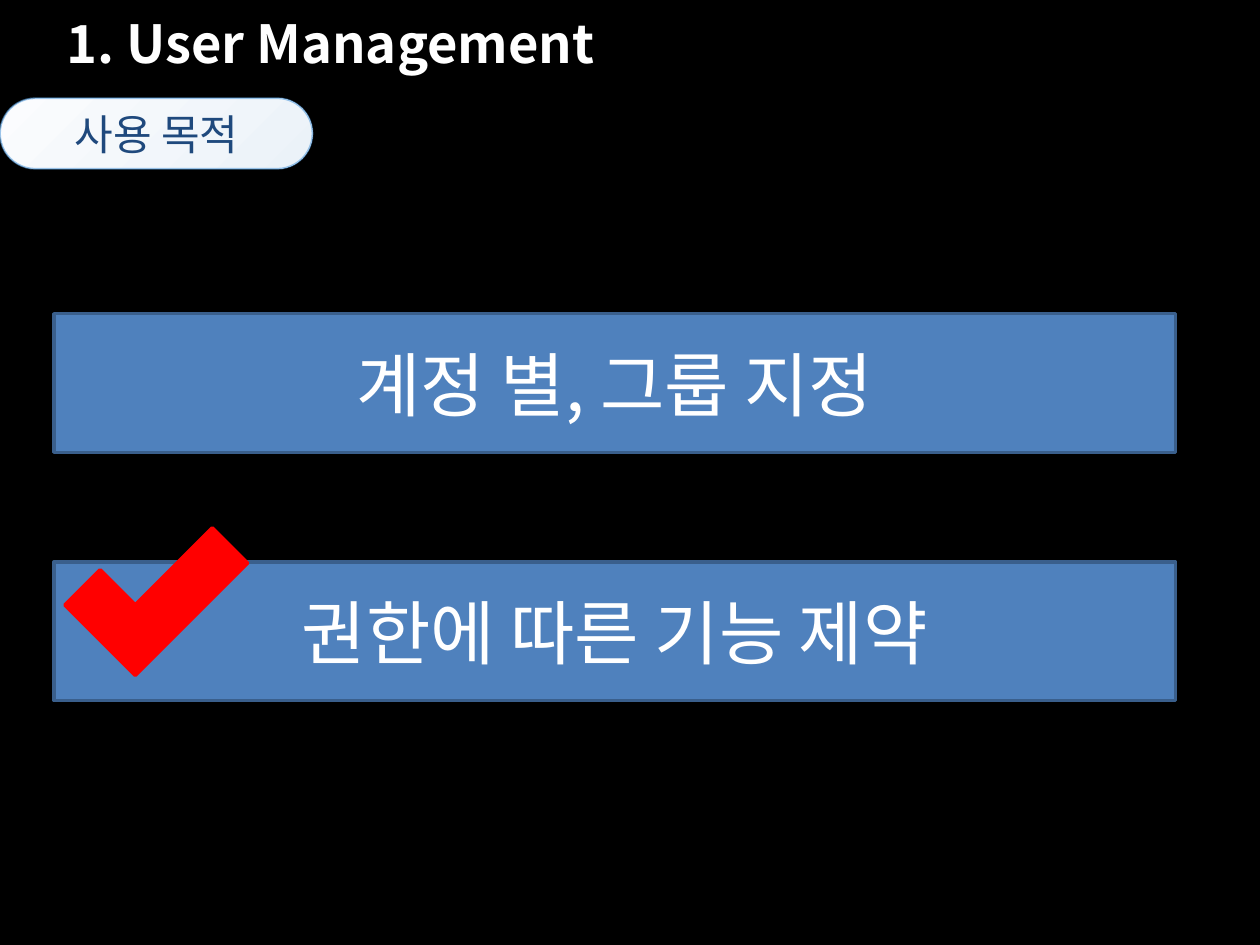
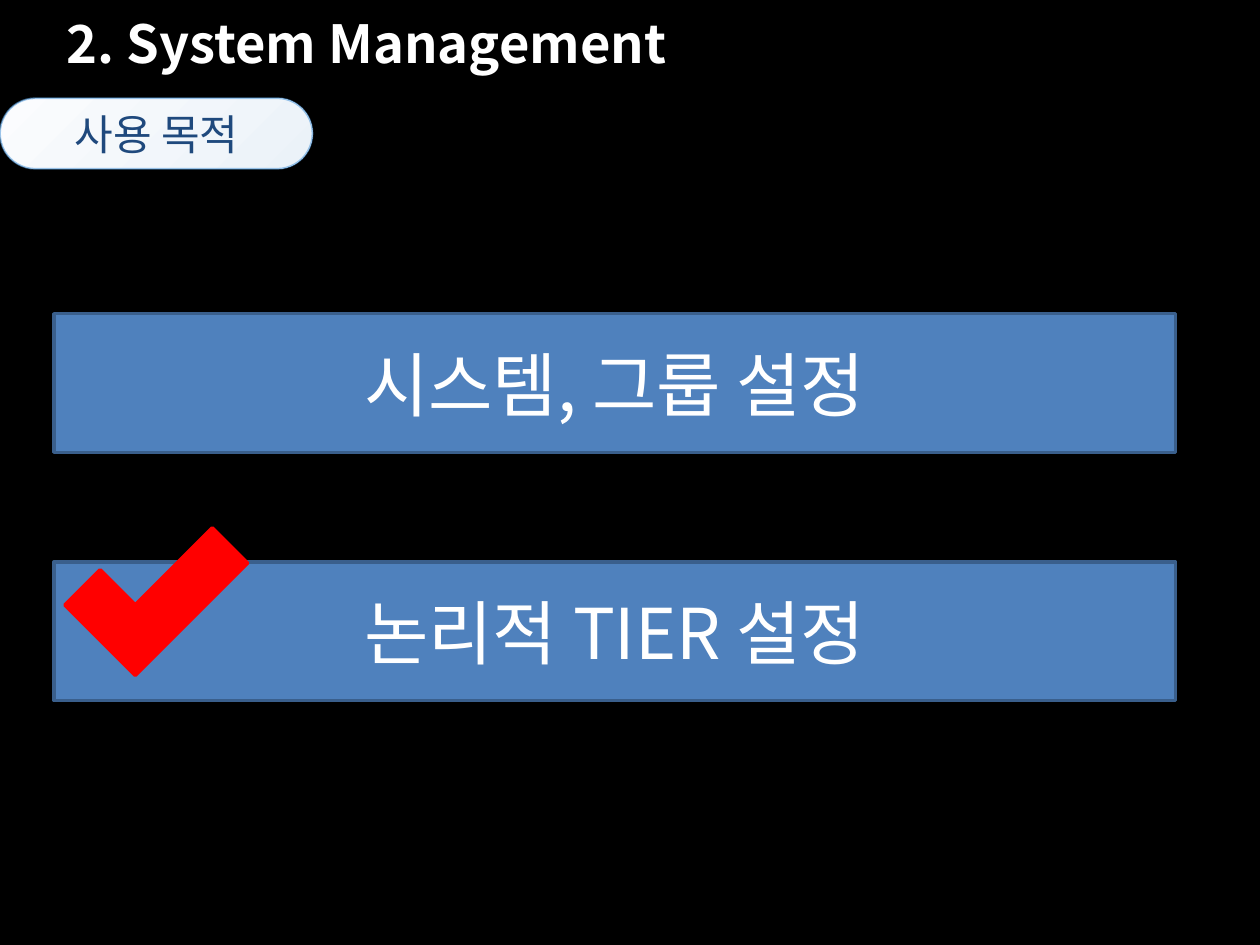
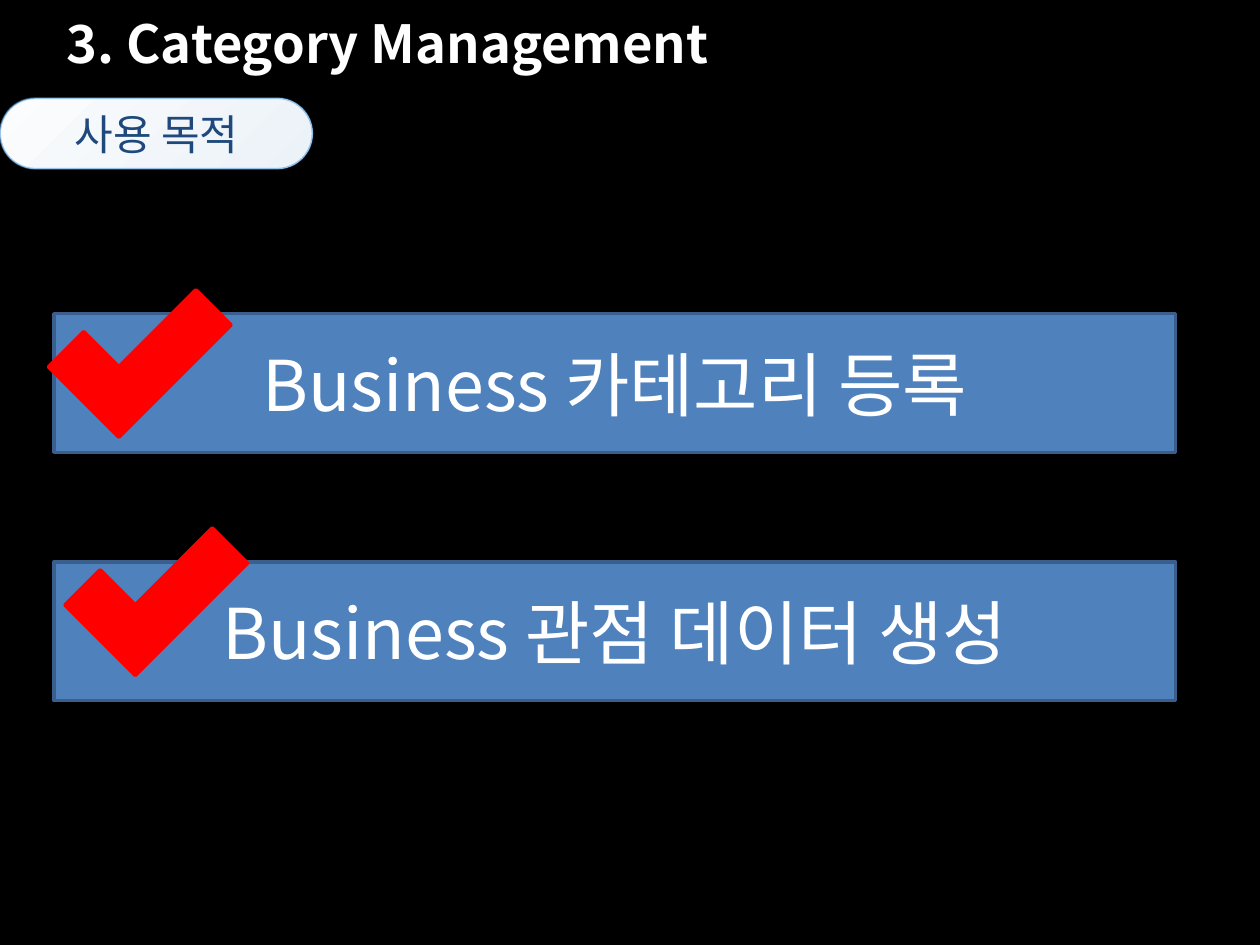
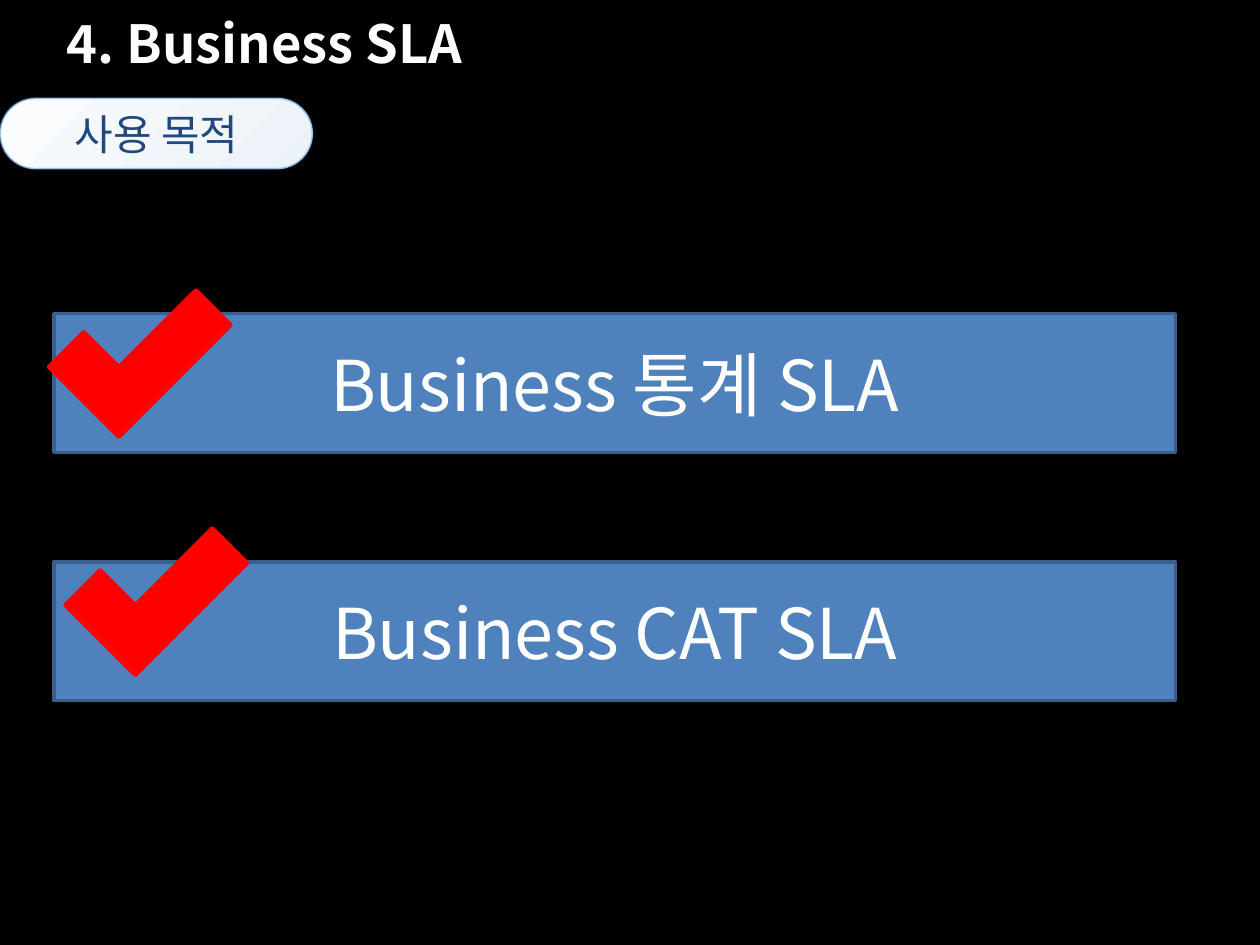
from dataclasses import dataclass

from lxml import etree
from pptx import Presentation
from pptx.dml.color import RGBColor
from pptx.enum.shapes import MSO_SHAPE
from pptx.enum.text import MSO_ANCHOR, PP_ALIGN
from pptx.oxml.ns import qn
from pptx.util import Inches, Pt

RECTANGLE = MSO_SHAPE.RECTANGLE
PILL = MSO_SHAPE.ROUNDED_RECTANGLE
CORNER = MSO_SHAPE.CORNER
MIDDLE = MSO_ANCHOR.MIDDLE
LEFT, CENTER = PP_ALIGN.LEFT, PP_ALIGN.CENTER


@dataclass(frozen=True)
class Theme:
    background: RGBColor = RGBColor.from_string("000000")
    white: RGBColor = RGBColor.from_string("FFFFFF")
    bar: RGBColor = RGBColor.from_string("4F81BD")
    bar_edge: RGBColor = RGBColor.from_string("3A5F8C")
    check: RGBColor = RGBColor.from_string("FF0000")
    pill_start: RGBColor = RGBColor.from_string("FBFCFE")
    pill_end: RGBColor = RGBColor.from_string("EBF2F8")
    pill_edge: RGBColor = RGBColor.from_string("5CA0DD")
    pill_text: RGBColor = RGBColor.from_string("1F497D")
    font: str = "Noto Sans CJK KR"
    pill_font: str = "Karla"
    title_size: int = 30
    pill_size: int = 24
    bar_size: int = 40


THEME = Theme()
BAR_LEFT, BAR_WIDTH, BAR_HEIGHT = 0.43, 8.9, 1.1
BAR_TOPS = (2.49, 4.46)
CHECK_PLACES = ((0.48, 2.35), (0.61, 4.24))

# Title, then each bar with its text and whether it is checked
SLIDES = (
    ("1. User Management",
     (("계정 별, 그룹 지정", False), ("권한에 따른 기능 제약", True))),
    ("2. System Management",
     (("시스템, 그룹 설정", False), ("논리적 TIER 설정", True))),
    ("3. Category Management",
     (("Business 카테고리 등록", True), ("Business 관점 데이터 생성", True))),
    ("4. Business SLA",
     (("Business 통계 SLA", True), ("Business CAT SLA", True))),
)


def add_text(box, text, size, color, align=LEFT, font=THEME.font, bold=False):
    """Write one vertically centred line, with a Korean face for Hangul."""
    box.text_frame.vertical_anchor = MIDDLE
    para = box.text_frame.paragraphs[0]
    para.alignment = align
    span = para.add_run()
    span.text = text
    span.font.size = Pt(size)
    span.font.bold = bold
    span.font.color.rgb = color
    span.font.name = font
    east_asian = etree.SubElement(span.font._element, qn("a:ea"))
    east_asian.set("typeface", THEME.font)


def add_block(page, kind, left, top, width, height, fill, edge):
    block = page.shapes.add_shape(
        kind, Inches(left), Inches(top), Inches(width), Inches(height))
    block.shadow.inherit = False
    block.fill.solid()
    block.fill.fore_color.rgb = fill
    block.line.color.rgb = edge
    block.line.width = Pt(2)
    return block


deck = Presentation()
deck.slide_width = Inches(10)
deck.slide_height = Inches(7.5)
blank = deck.slide_layouts[6]

for title, bars in SLIDES:
    page = deck.slides.add_slide(blank)
    page.background.fill.solid()
    page.background.fill.fore_color.rgb = THEME.background

    title_box = page.shapes.add_textbox(
        Inches(BAR_LEFT), Inches(0), Inches(7.01), Inches(0.68))
    title_box.text_frame.word_wrap = True
    add_text(title_box, title, THEME.title_size, THEME.white, bold=True)

    pill = add_block(page, PILL, 0, 0.78, 2.48, 0.56,
                     THEME.pill_start, THEME.pill_edge)
    pill.adjustments[0] = 0.5
    pill.fill.gradient()
    pill.fill.gradient_angle = 315
    for stop, color in zip(pill.fill.gradient_stops,
                           (THEME.pill_start, THEME.pill_end)):
        stop.color.rgb = color
    pill.line.width = Pt(1)
    edge_color = pill.line.fill._xPr.find(".//" + qn("a:srgbClr"))
    etree.SubElement(edge_color, qn("a:alpha")).set("val", "60000")
    pill.text_frame.margin_left = Inches(0.51)
    pill.text_frame.word_wrap = False
    add_text(pill, "사용 목적", THEME.pill_size, THEME.pill_text,
             font=THEME.pill_font)

    for top, (text, checked) in zip(BAR_TOPS, bars):
        bar = add_block(page, RECTANGLE, BAR_LEFT, top, BAR_WIDTH, BAR_HEIGHT,
                        THEME.bar, THEME.bar_edge)
        add_text(bar, text, THEME.bar_size, THEME.white, CENTER)

    # The lower check lies beneath the upper one
    for (left, top), (text, checked) in reversed(list(zip(CHECK_PLACES, bars))):
        if checked:
            check = add_block(page, CORNER, left, top, 1.26, 0.79,
                              THEME.check, THEME.check)
            check.rotation = 315

deck.save("out.pptx")
